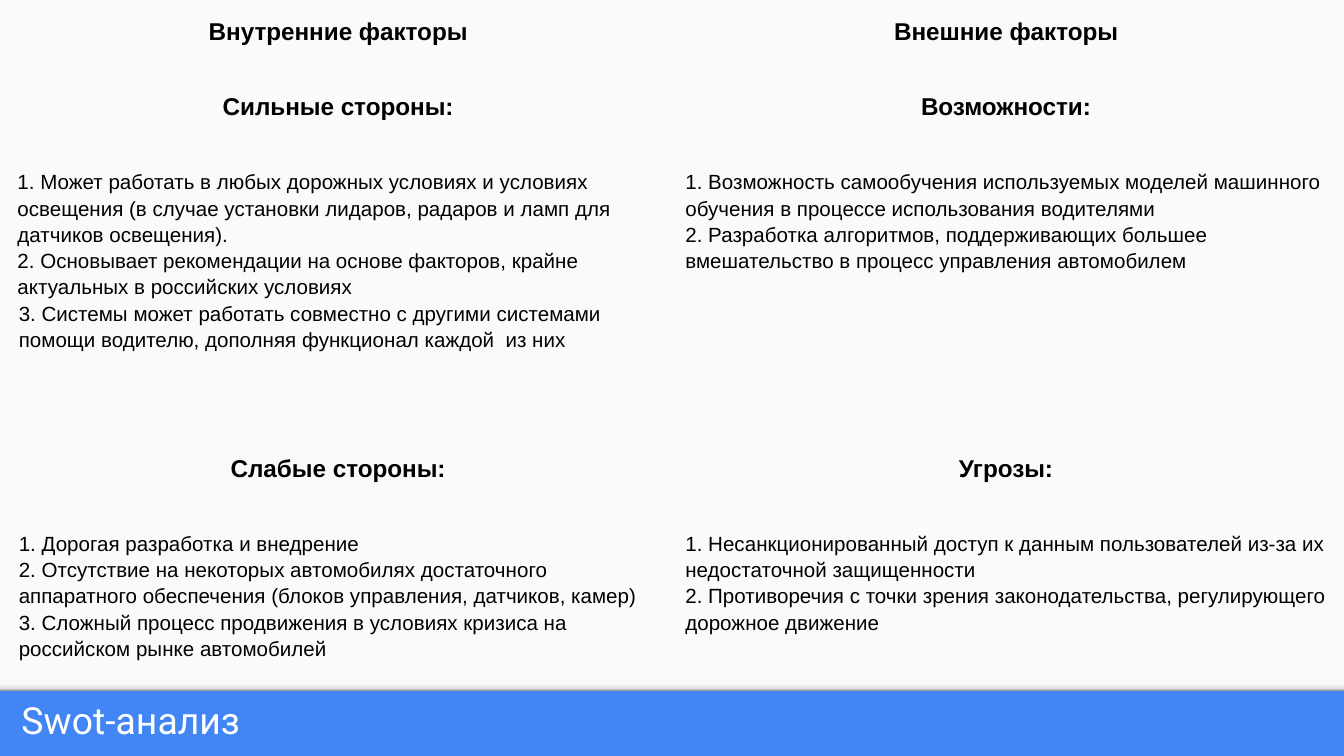
import copy

import pptx
import pptx.dml.color
import pptx.enum.shapes
import pptx.enum.text
import pptx.oxml.ns
import pptx.util

Inches = pptx.util.Inches
Pt = pptx.util.Pt
RGBColor = pptx.dml.color.RGBColor
PP_ALIGN = pptx.enum.text.PP_ALIGN
RECTANGLE = pptx.enum.shapes.MSO_SHAPE.RECTANGLE

BLUE = RGBColor(0x42, 0x85, 0xF4)
PANEL = RGBColor(0xFA, 0xFA, 0xFA)
BLACK = RGBColor(0, 0, 0)
WHITE = RGBColor(0xFF, 0xFF, 0xFF)
SHADE_STOPS = [
    (0, RGBColor(0xF9, 0xF9, 0xF9)),
    (0.36, RGBColor(0xF9, 0xF9, 0xF9)),
    (0.8, RGBColor(0xDE, 0xDE, 0xDE)),
    (1, RGBColor(0x99, 0x99, 0x99)),
]
PLAIN_TABLE_STYLE = "{2D5ABB26-0587-4C30-8999-92F81FD0307C}"

TITLE = "Swot-анализ"
STRENGTHS = [
    "1. Может работать в любых дорожных условиях и условиях освещения (в случае установки лидаров, радаров и ламп для датчиков освещения).",
    "2. Основывает рекомендации на основе факторов, крайне актуальных в российских условиях",
    "3. Системы может работать совместно с другими системами помощи водителю, дополняя функционал каждой  из них",
]
OPPORTUNITIES = [
    "1. Возможность самообучения используемых моделей машинного обучения в процессе использования водителями",
    "2. Разработка алгоритмов, поддерживающих большее вмешательство в процесс управления автомобилем",
]
WEAKNESSES = [
    "1. Дорогая разработка и внедрение",
    "2. Отсутствие на некоторых автомобилях достаточного аппаратного обеспечения (блоков управления, датчиков, камер)",
    "3. Сложный процесс продвижения в условиях кризиса на российском рынке автомобилей",
]
THREATS = [
    "1. Несанкционированный доступ к данным пользователей из-за их недостаточной защищенности",
    "2. Противоречия с точки зрения законодательства, регулирующего дорожное движение",
]
FLUSH_LINES = STRENGTHS[:2]
COLUMN_WIDTHS = [4.96, 4.98]
ROWS = [
    (0.56, True, 1.17, [["Внутренние факторы"], ["Внешние факторы"]]),
    (0.59, True, 1.19, [["Сильные стороны:"], ["Возможности:"]]),
    (2.11, False, 1.15, [STRENGTHS, OPPORTUNITIES]),
    (0.58, True, 1.15, [["Слабые стороны:"], ["Угрозы:"]]),
    (1.3, False, 1.15, [WEAKNESSES, THREATS]),
]


def add_rectangle(slide, top, height):
    shape = slide.shapes.add_shape(RECTANGLE, 0, Inches(top), Inches(10), Inches(height))
    shape.shadow.inherit = False
    shape.line.fill.background()
    return shape


def add_background(slide):
    slide.background.fill.solid()
    slide.background.fill.fore_color.rgb = BLUE
    panel = add_rectangle(slide, 0, 5.14)
    panel.fill.solid()
    panel.fill.fore_color.rgb = PANEL

    shade = add_rectangle(slide, 5.06, 0.08)
    shade.fill.gradient()
    shade.fill.gradient_angle = 270
    stop_list = shade._element.spPr.find(".//" + pptx.oxml.ns.qn("a:gsLst"))
    while len(stop_list) < len(SHADE_STOPS):
        stop_list.append(copy.deepcopy(stop_list[0]))
    for stop, (position, color) in zip(shade.fill.gradient_stops, SHADE_STOPS):
        stop.position = position
        stop.color.rgb = color


def add_title(slide):
    title = slide.shapes.title
    title.left, title.top = Inches(0.06), Inches(5.14)
    title.width, title.height = Inches(9.17), Inches(0.49)
    frame = title.text_frame
    frame.text = TITLE
    frame.vertical_anchor = pptx.enum.text.MSO_ANCHOR.MIDDLE
    frame.margin_left = frame.margin_right = Inches(0.1)
    frame.margin_top = frame.margin_bottom = Inches(0.1)
    paragraph = frame.paragraphs[0]
    paragraph.alignment = PP_ALIGN.LEFT
    paragraph.line_spacing = 0.8
    paragraph.font.name = "Roboto"
    paragraph.font.size = Pt(20)
    paragraph.font.color.rgb = WHITE


def fill_cell(cell, lines, is_heading, line_spacing):
    cell.fill.background()
    cell.margin_left = cell.margin_right = Inches(0.1)
    cell.margin_top = cell.margin_bottom = Inches(0.1)
    cell.text_frame.text = "\n".join(lines)
    for paragraph, line in zip(cell.text_frame.paragraphs, lines):
        indent = 0 if line in FLUSH_LINES else 0.01
        paragraph._p.get_or_add_pPr().set("marL", str(Inches(indent)))
        paragraph.alignment = PP_ALIGN.CENTER if is_heading else PP_ALIGN.LEFT
        paragraph.line_spacing = line_spacing
        paragraph.font.name = "Arial"
        paragraph.font.size = Pt(13 if is_heading else 11)
        paragraph.font.bold = is_heading
        paragraph.font.color.rgb = BLACK


def add_swot_table(slide):
    frame = slide.shapes.add_table(
        len(ROWS), len(COLUMN_WIDTHS), Inches(0.03), 0,
        Inches(sum(COLUMN_WIDTHS)), Inches(sum(row[0] for row in ROWS)),
    )
    table = frame.table
    table.first_row = table.horz_banding = False
    table._tbl.tblPr.find(pptx.oxml.ns.qn("a:tableStyleId")).text = PLAIN_TABLE_STYLE
    for column, width in zip(table.columns, COLUMN_WIDTHS):
        column.width = Inches(width)
    for row, (height, is_heading, line_spacing, contents) in zip(table.rows, ROWS):
        row.height = Inches(height)
        for cell, lines in zip(row.cells, contents):
            fill_cell(cell, lines, is_heading, line_spacing)


def main():
    presentation = pptx.Presentation()
    presentation.slide_width = Inches(10)
    presentation.slide_height = presentation.slide_width * 9 // 16
    slide = presentation.slides.add_slide(presentation.slide_layouts[5])
    add_background(slide)
    add_swot_table(slide)
    add_title(slide)
    presentation.save("out.pptx")


if __name__ == "__main__":
    main()
